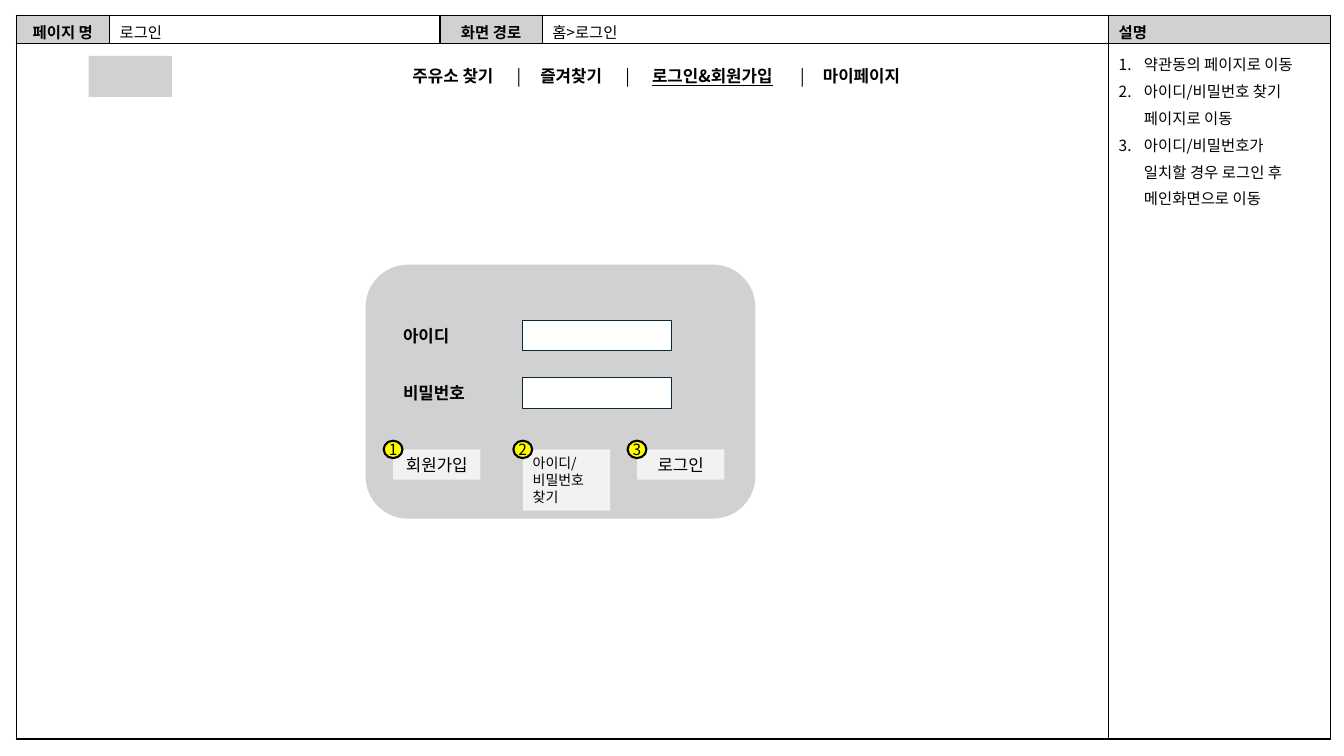
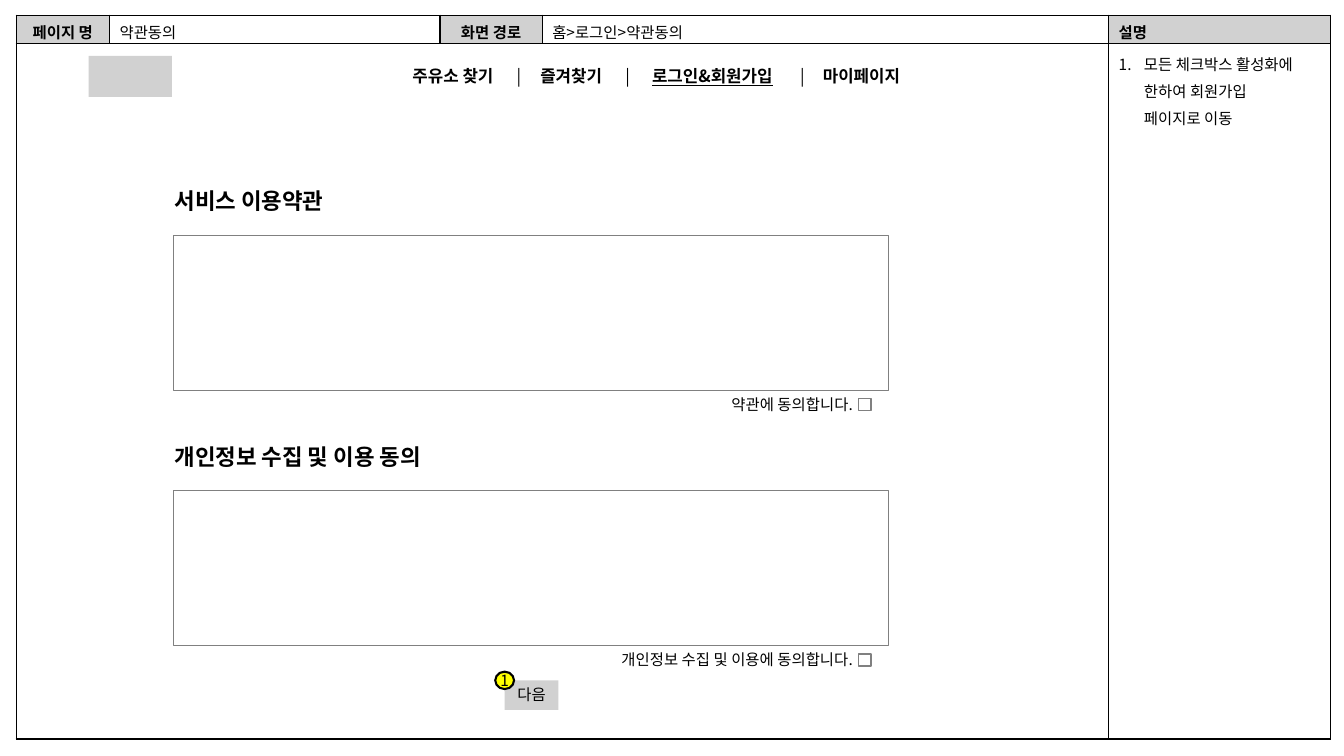
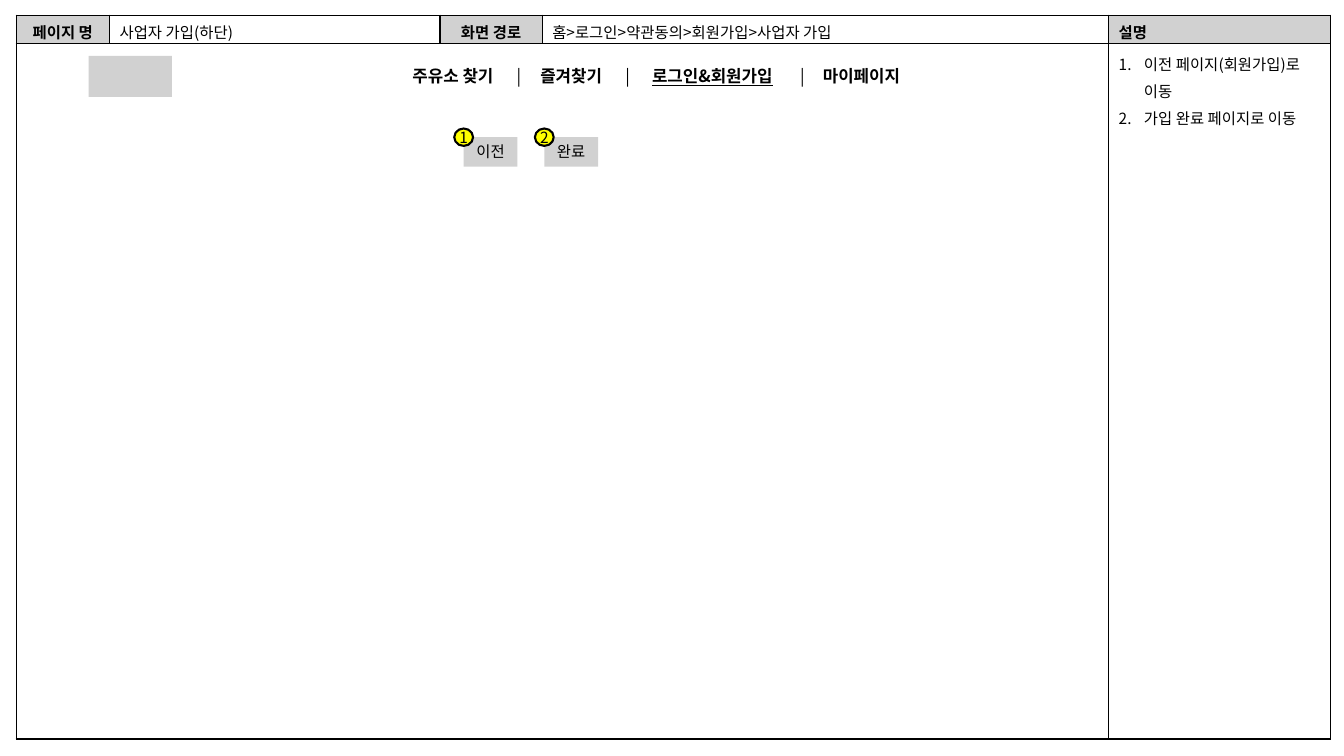
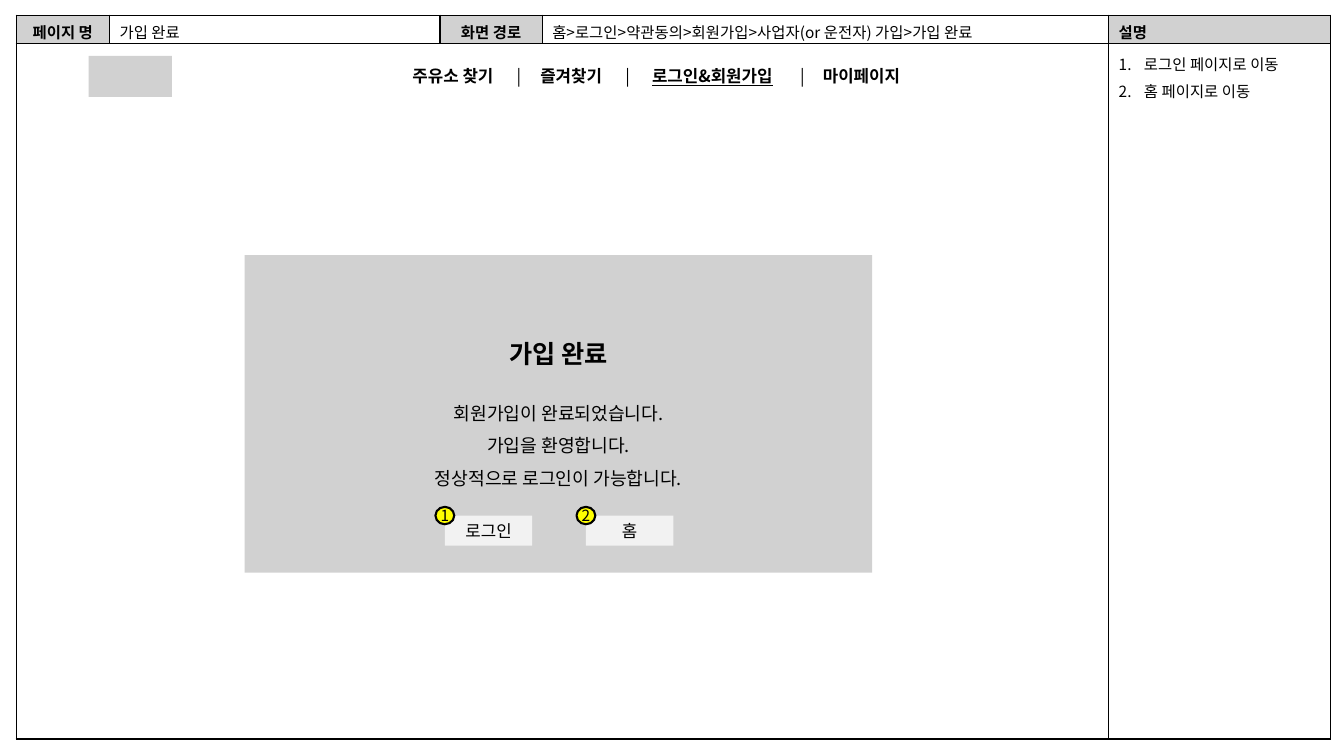
from dataclasses import dataclass
from lxml.etree import SubElement
from pptx import Presentation
from pptx.dml.color import RGBColor
from pptx.enum.shapes import MSO_SHAPE as Shape
from pptx.enum.text import MSO_ANCHOR as Anchor, PP_ALIGN as Align
from pptx.oxml import parse_xml
from pptx.oxml.ns import nsdecls, qn
from pptx.util import Inches, Pt


@dataclass(frozen=True)
class Theme:
    font: str = "Noto Sans CJK KR"
    ink: str = "000000"
    paper: str = "FFFFFF"
    gray: str = "D1D1D1"
    pale: str = "F2F2F2"
    edge: str = "808080"
    input_edge: str = "092A39"
    badge: str = "FFFF00"
    small: int = 10
    body: int = 11
    label: int = 12
    message: int = 13
    heading: int = 16
    title: int = 18


THEME = Theme()
WIDTH, HEIGHT = Inches(13.333), Inches(7.5)

# All places and sizes below are percentages of the slide's width and height.
COLUMNS = (6.95, 24.6, 7.6, 42.15, 16.5)
ROWS = (3.75, 92)
MENU_LEFT = 16.4
MENU = (  # text, centre, bold, underlined
    ("주유소 찾기", 33.7, True, False),
    ("|", 38.6, False, False),
    ("즐겨찾기", 42.5, True, False),
    ("|", 46.7, False, False),
    ("로그인&회원가입", 53, True, True),
    ("|", 59.7, False, False),
    ("마이페이지", 64.1, True, False),
)
BUTTON = (6.5, 4)
SMALL_BUTTON = (4, 3.9)
BADGE = (1.4, 2.3)


def across(share):
    return round(WIDTH * share / 100)


def down(share):
    return round(HEIGHT * share / 100)


def area(left, top, width, height):
    return across(left), down(top), across(width), down(height)


def rgb(color):
    return RGBColor.from_string(color)


def write(paragraph, text, size, bold=False, underline=False):
    """Add text run by run; a newline becomes a line break."""
    for index, line in enumerate(text.split("\n")):
        if index:
            paragraph.add_line_break()
        run = paragraph.add_run()
        run.text = line
        font = run.font
        font.size, font.bold, font.name = Pt(size), bold, THEME.font
        font.color.rgb = rgb(THEME.ink)
        if underline:
            font.underline = True
        SubElement(run._r.get_or_add_rPr(), qn("a:ea"), typeface=THEME.font)


def fill_frame(frame, text, size, align=Align.LEFT, bold=False):
    """Write one paragraph per item of text, which may be a lone string."""
    lines = [text] if isinstance(text, str) else text
    for index, line in enumerate(lines):
        paragraph = frame.add_paragraph() if index else frame.paragraphs[0]
        paragraph.alignment = align
        write(paragraph, line, size, bold)


def add_text(slide, place, text, size, align=Align.LEFT, bold=False):
    frame = slide.shapes.add_textbox(*area(*place)).text_frame
    frame.word_wrap = True
    fill_frame(frame, text, size, align, bold)


def add_box(slide, place, fill=None, line=None, line_width=0.75, kind=Shape.RECTANGLE):
    box = slide.shapes.add_shape(kind, *area(*place))
    box.shadow.inherit = False
    if fill:
        box.fill.solid()
        box.fill.fore_color.rgb = rgb(fill)
    else:
        box.fill.background()
    if line:
        box.line.color.rgb = rgb(line)
        box.line.width = Pt(line_width)
    else:
        box.line.fill.background()
    return box


def add_badge(slide, number, left, top):
    """Centre a numbered marker on the given corner."""
    width, height = BADGE
    badge = add_box(slide, (left - width / 2, top - height / 2, width, height),
                    THEME.badge, THEME.ink, 1.5, Shape.OVAL)
    frame = badge.text_frame
    frame.margin_left = frame.margin_right = frame.margin_top = frame.margin_bottom = 0
    frame.word_wrap = False
    frame.vertical_anchor = Anchor.MIDDLE
    fill_frame(frame, str(number), THEME.body, Align.CENTER)


def add_button(slide, number, place, text, fill=THEME.pale, size=THEME.label,
               align=Align.CENTER):
    frame = add_box(slide, place, fill).text_frame
    frame.word_wrap = True
    frame.vertical_anchor = Anchor.TOP
    fill_frame(frame, text, size, align)
    add_badge(slide, number, *place[:2])


def style_cell(cell, fill):
    cell.fill.solid()
    cell.fill.fore_color.rgb = rgb(fill)
    properties = cell._tc.get_or_add_tcPr()
    for index, side in enumerate("LRTB"):
        properties.insert(index, parse_xml(
            f'<a:ln{side} {nsdecls("a")} w="{Pt(1)}"><a:solidFill>'
            f'<a:srgbClr val="{THEME.ink}"/></a:solidFill></a:ln{side}>'))


def number_paragraph(paragraph):
    paragraph.line_spacing = 1.2
    properties = paragraph._p.get_or_add_pPr()
    properties.set("marL", str(Inches(0.25)))
    properties.set("indent", str(-Inches(0.25)))
    SubElement(properties, qn("a:buFont"), typeface="+mj-lt")
    SubElement(properties, qn("a:buAutoNum"), type="arabicPeriod")


def add_sheet(slide, page, route, notes):
    """Add the framing table with page name, route and numbered notes."""
    table = slide.shapes.add_table(
        len(ROWS), len(COLUMNS), *area(1.2, 2, sum(COLUMNS), sum(ROWS))).table
    table.first_row = table.horz_banding = False
    for column, share in zip(table.columns, COLUMNS):
        column.width = across(share)
    for row, share in zip(table.rows, ROWS):
        row.height = down(share)

    headers = (("페이지 명", True, Align.CENTER), (page, False, Align.LEFT),
               ("화면 경로", True, Align.CENTER), (route, False, Align.LEFT),
               ("설명", True, Align.LEFT))
    for index, (text, bold, align) in enumerate(headers):
        head, below = table.cell(0, index), table.cell(1, index)
        style_cell(head, THEME.gray if bold else THEME.paper)
        style_cell(below, THEME.paper)
        head.margin_bottom = 0
        fill_frame(head.text_frame, text, THEME.body, align, bold)
    table.cell(1, 0).merge(table.cell(1, len(COLUMNS) - 2))

    description = table.cell(1, len(COLUMNS) - 1).text_frame
    fill_frame(description, notes, THEME.body)
    for paragraph in description.paragraphs:
        number_paragraph(paragraph)


def add_menu(slide):
    frame = slide.shapes.add_textbox(*area(MENU_LEFT, 8.1, 64.8, 4)).text_frame
    frame.word_wrap = True
    frame.margin_left = 0
    paragraph = frame.paragraphs[0]
    stops = SubElement(paragraph._p.get_or_add_pPr(), qn("a:tabLst"))
    for text, centre, bold, underline in MENU:
        SubElement(stops, qn("a:tab"), pos=str(across(centre - MENU_LEFT)), algn="ctr")
        write(paragraph, "\t", THEME.label)
        write(paragraph, text, THEME.label, bold, underline)


def add_page(deck, page, route, notes):
    slide = deck.slides.add_slide(deck.slide_layouts[6])
    add_sheet(slide, page, route, notes)
    add_box(slide, (6.6, 7.4, 6.2, 5.4), THEME.gray)
    add_menu(slide)
    return slide


def build_login(deck):
    slide = add_page(deck, "로그인", "홈>로그인", (
        "약관동의 페이지로 이동",
        "아이디/비밀번호 찾기\n페이지로 이동",
        "아이디/비밀번호가\n일치할 경우 로그인 후\n메인화면으로 이동"))
    label_left, input_left, login_left, button_top = 29.25, 38.9, 47.4, 59.45
    add_box(slide, (27.2, 35, 29, 33.6), THEME.gray, kind=Shape.ROUNDED_RECTANGLE)
    for top, label in ((42.4, "아이디"), (50, "비밀번호")):
        add_text(slide, (label_left, top, *BUTTON), label, THEME.label, bold=True)
        add_box(slide, (input_left, top, 11.1, 4), THEME.paper, THEME.input_edge)
    add_button(slide, 1, (label_left, button_top, *BUTTON), "회원가입")
    add_button(slide, 2, (input_left, button_top, BUTTON[0], 8.1),
               ("아이디/", "비밀번호 찾기"), size=THEME.small, align=Align.LEFT)
    add_button(slide, 3, (login_left, button_top, *BUTTON), "로그인")


def build_terms(deck):
    slide = add_page(deck, "약관동의", "홈>로그인>약관동의",
                     ("모든 체크박스 활성화에\n한하여 회원가입\n페이지로 이동",))
    sections = (("서비스 이용약관", "약관에 동의합니다."),
                ("개인정보 수집 및 이용 동의", "개인정보 수집 및 이용에 동의합니다."))
    for index, (heading, consent) in enumerate(sections):
        top = 24.1 + 33.8 * index
        add_text(slide, (12.25, top, 53.9, 4.9), heading, THEME.heading, bold=True)
        add_box(slide, (12.9, top + 7, 53.2, 20.5), line=THEME.edge)
        add_text(slide, (43.4, top + 27.5, 20.8, 3.9), consent, THEME.body, Align.RIGHT)
        add_box(slide, (63.9, top + 28.6, 0.9, 1.6), THEME.paper, THEME.edge, 1)
    add_button(slide, 1, (37.55, 90, *SMALL_BUTTON), "다음", THEME.gray, THEME.body)


def build_business_signup(deck):
    slide = add_page(deck, "사업자 가입(하단)", "홈>로그인>약관동의>회원가입>사업자 가입",
                     ("이전 페이지(회원가입)로 이동", "가입 완료 페이지로 이동"))
    for index, text in enumerate(("이전", "완료")):
        add_button(slide, index + 1, (34.5 + 6 * index, 18.15, *SMALL_BUTTON), text,
                   THEME.gray, THEME.body)


def build_complete(deck):
    slide = add_page(deck, "가입 완료",
                     "홈>로그인>약관동의>회원가입>사업자(or 운전자) 가입>가입 완료",
                     ("로그인 페이지로 이동", "홈 페이지로 이동"))
    frame = add_box(slide, (18.2, 33.75, 46.7, 42), THEME.gray).text_frame
    frame.word_wrap = True
    frame.vertical_anchor = Anchor.MIDDLE
    fill_frame(frame, "가입 완료", THEME.title, Align.CENTER, bold=True)
    frame.paragraphs[0].space_after = Pt(16)
    for message in ("회원가입이 완료되었습니다.", "가입을 환영합니다.",
                    "정상적으로 로그인이 가능합니다."):
        paragraph = frame.add_paragraph()
        paragraph.alignment = Align.CENTER
        paragraph.line_spacing = 1.5
        write(paragraph, message, THEME.message)
    for index, text in enumerate(("로그인", "홈")):
        add_button(slide, index + 1, (33.1 + 10.5 * index, 68.2, *BUTTON), text)


def main():
    deck = Presentation()
    deck.slide_width, deck.slide_height = WIDTH, HEIGHT
    for build in (build_login, build_terms, build_business_signup, build_complete):
        build(deck)
    deck.save("out.pptx")


if __name__ == "__main__":
    main()
